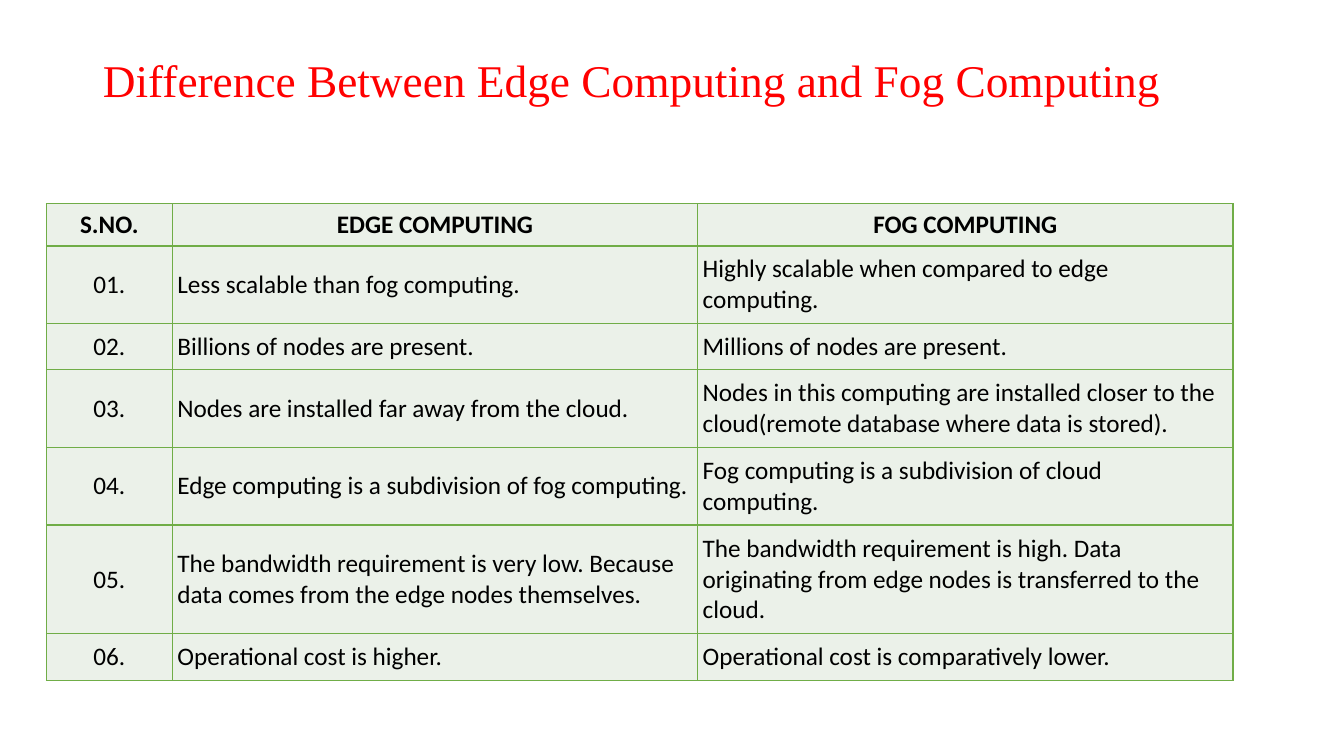
from lxml import etree
from pptx import Presentation
from pptx.dml.color import RGBColor
from pptx.enum.text import MSO_ANCHOR, MSO_AUTO_SIZE, PP_ALIGN
from pptx.oxml.ns import qn
from pptx.util import Inches, Pt

LEFT, CENTER = PP_ALIGN.LEFT, PP_ALIGN.CENTER
TOP, MIDDLE = MSO_ANCHOR.TOP, MSO_ANCHOR.MIDDLE
NO_FIT = MSO_AUTO_SIZE.NONE
RED, BLACK, GREEN, PALE = "FF0000", "000000", "70AD47", "EBF1E9"
NBSP = chr(160)  # keeps the last word of a full line from fitting

COLS = [1.25, 5.21, 5.31]
ROWS = [0.42, 0.77, 0.46, 0.77, 0.77, 1.08, 0.46]
DATA = [
    ("S.NO.", "EDGE COMPUTING", "FOG COMPUTING"),
    ("01.", "Less scalable than fog computing.",
     "Highly scalable when compared to edge computing." + NBSP),
    ("02.", "Billions of nodes are present.", "Millions of nodes are present."),
    ("03.", "Nodes are installed far away from the cloud.",
     "Nodes in this computing are installed closer to the "
     "cloud(remote database where data is stored)."),
    ("04.", "Edge computing is a subdivision of fog computing.",
     "Fog computing is a subdivision of cloud computing." + NBSP),
    ("05.", "The bandwidth requirement is very low. Because data comes "
     "from the edge nodes themselves.",
     "The bandwidth requirement is high. Data originating from edge nodes "
     "is transferred to the cloud."),
    ("06.", "Operational cost is higher.",
     "Operational cost is comparatively lower."),
]


def style(r, font, size, color, bold=False):
    for name, value in {"name": font, "size": Pt(size), "bold": bold}.items():
        setattr(r.font, name, value)
    r.font.color.rgb = RGBColor.from_string(color)


def add_borders(cell, color, width):
    tcPr = cell._tc.get_or_add_tcPr()
    for i, side in enumerate(("a:lnL", "a:lnR", "a:lnT", "a:lnB")):
        ln = etree.Element(qn(side), w=str(Pt(width)))
        fill = etree.SubElement(ln, qn("a:solidFill"))
        etree.SubElement(fill, qn("a:srgbClr"), val=color)
        tcPr.insert(i, ln)


prs = Presentation()
prs.slide_width, prs.slide_height = Inches(13.33), Inches(7.5)
s = prs.slides.add_slide(prs.slide_layouts[5])

# Title
title = s.shapes.title
title.left, title.top = Inches(0.92), Inches(0.4)
title.width, title.height = Inches(11.5), Inches(1.45)
tf = title.text_frame
for name, value in {"word_wrap": True, "auto_size": NO_FIT,
                    "vertical_anchor": TOP,
                    "margin_top": Inches(0.18)}.items():
    setattr(tf, name, value)
p = tf.paragraphs[0]
p.alignment, p.line_spacing = LEFT, 0.9
r = p.add_run()
r.text = "Difference Between Edge Computing and Fog Computing"
style(r, "Times New Roman", 32.4, RED)

# Comparison table
table = s.shapes.add_table(len(ROWS), len(COLS), Inches(0.46), Inches(2.02),
                           Inches(sum(COLS)), Inches(sum(ROWS))).table
for col, width in zip(table.columns, COLS):
    col.width = Inches(width)
for row, height in zip(table.rows, ROWS):
    row.height = Inches(height)

for i, texts in enumerate(DATA):
    for j, text in enumerate(texts):
        cell = table.cell(i, j)
        header, number = i == 0, j == 0
        side = Inches(0.04 if number else 0.05)
        edge = Inches(0.05 if header else 0.04 if number else 0.07)
        for name, value in {"margin_left": side, "margin_right": side,
                            "margin_top": edge, "margin_bottom": edge,
                            "vertical_anchor": MIDDLE}.items():
            setattr(cell, name, value)
        cell.fill.solid()
        cell.fill.fore_color.rgb = RGBColor.from_string(PALE)
        add_borders(cell, GREEN, 1)
        p = cell.text_frame.paragraphs[0]
        p.alignment = CENTER if header or number else LEFT
        r = p.add_run()
        r.text = text
        style(r, "Calibri", 18, BLACK, header)

prs.save("out.pptx")
